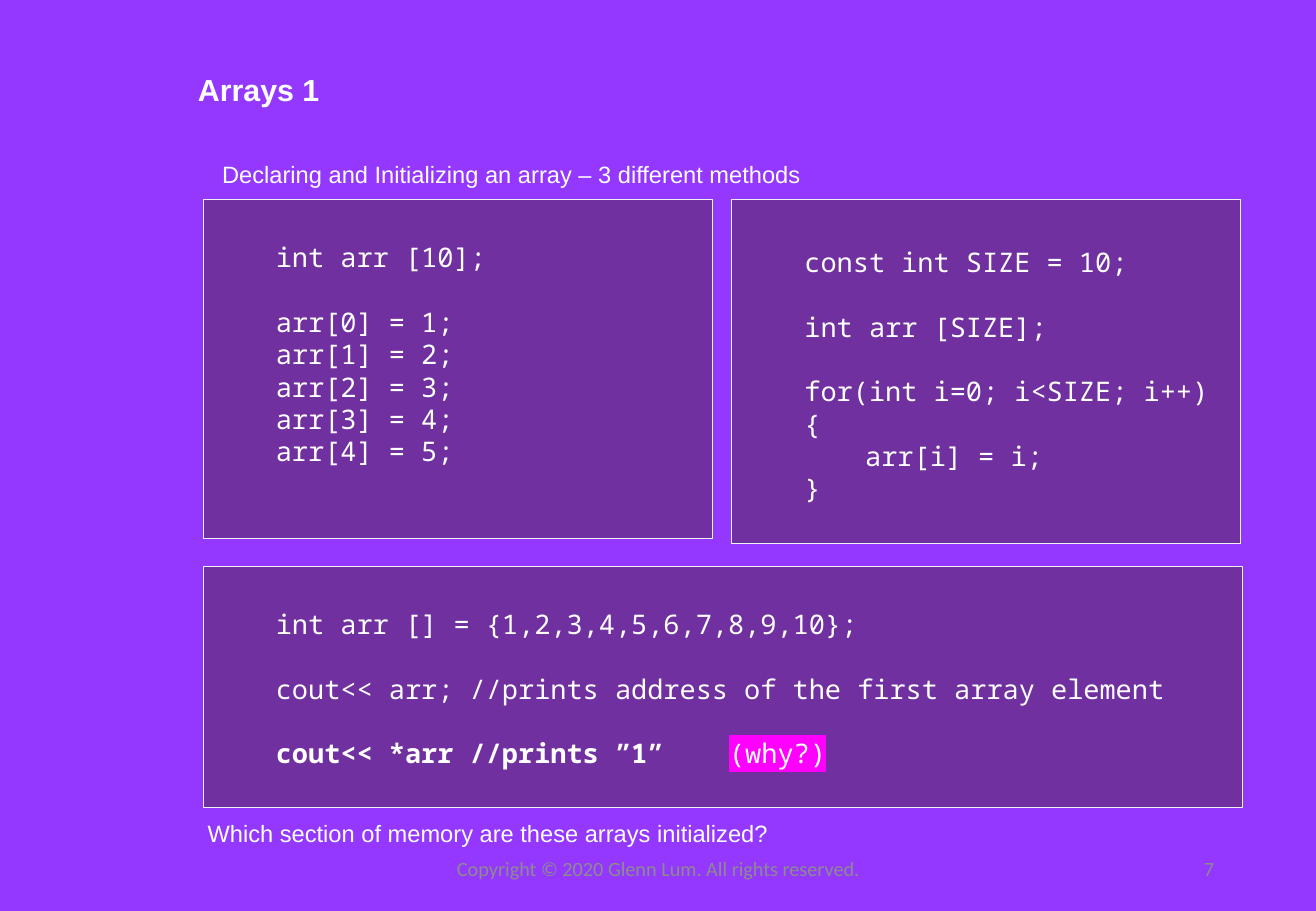
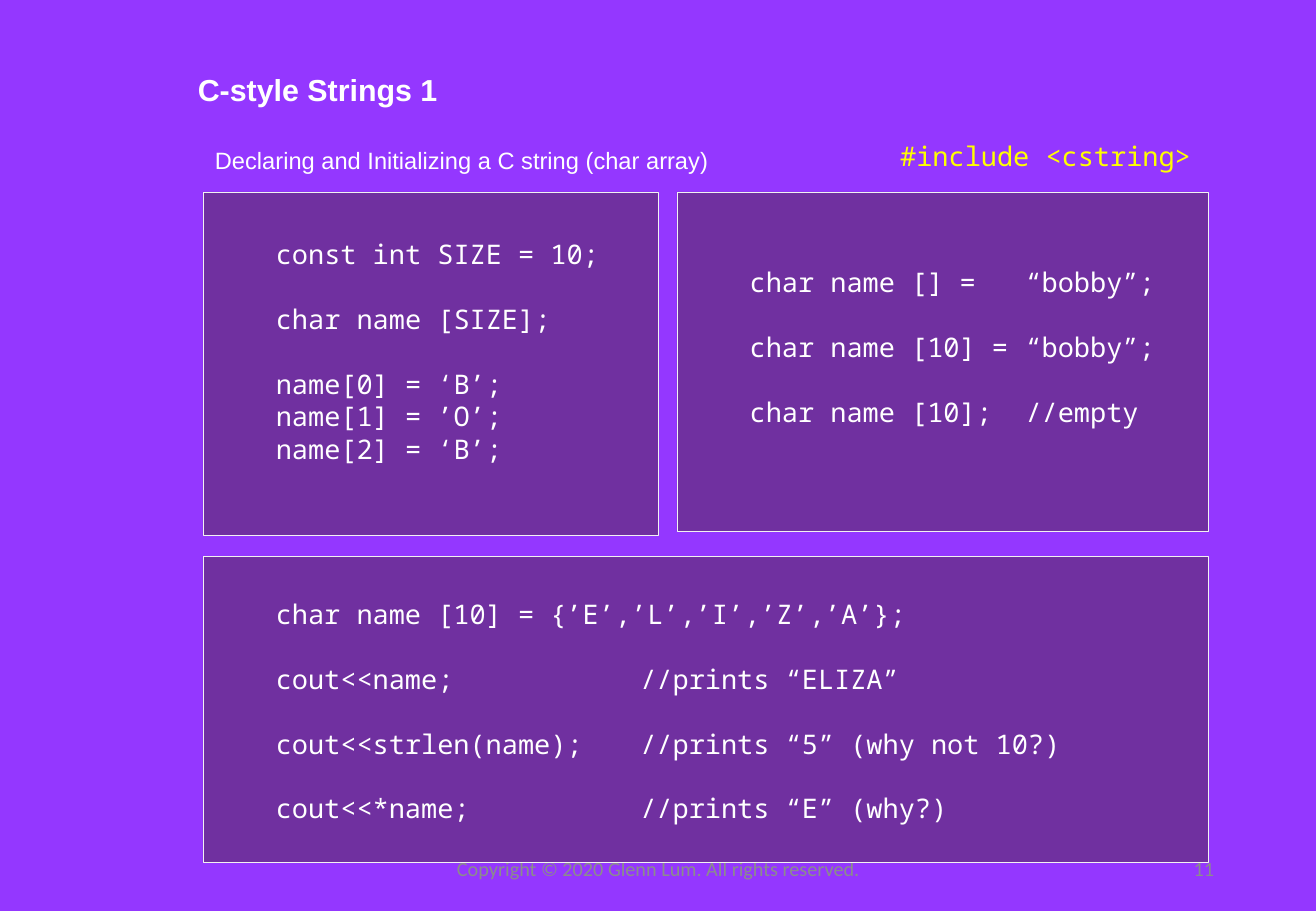
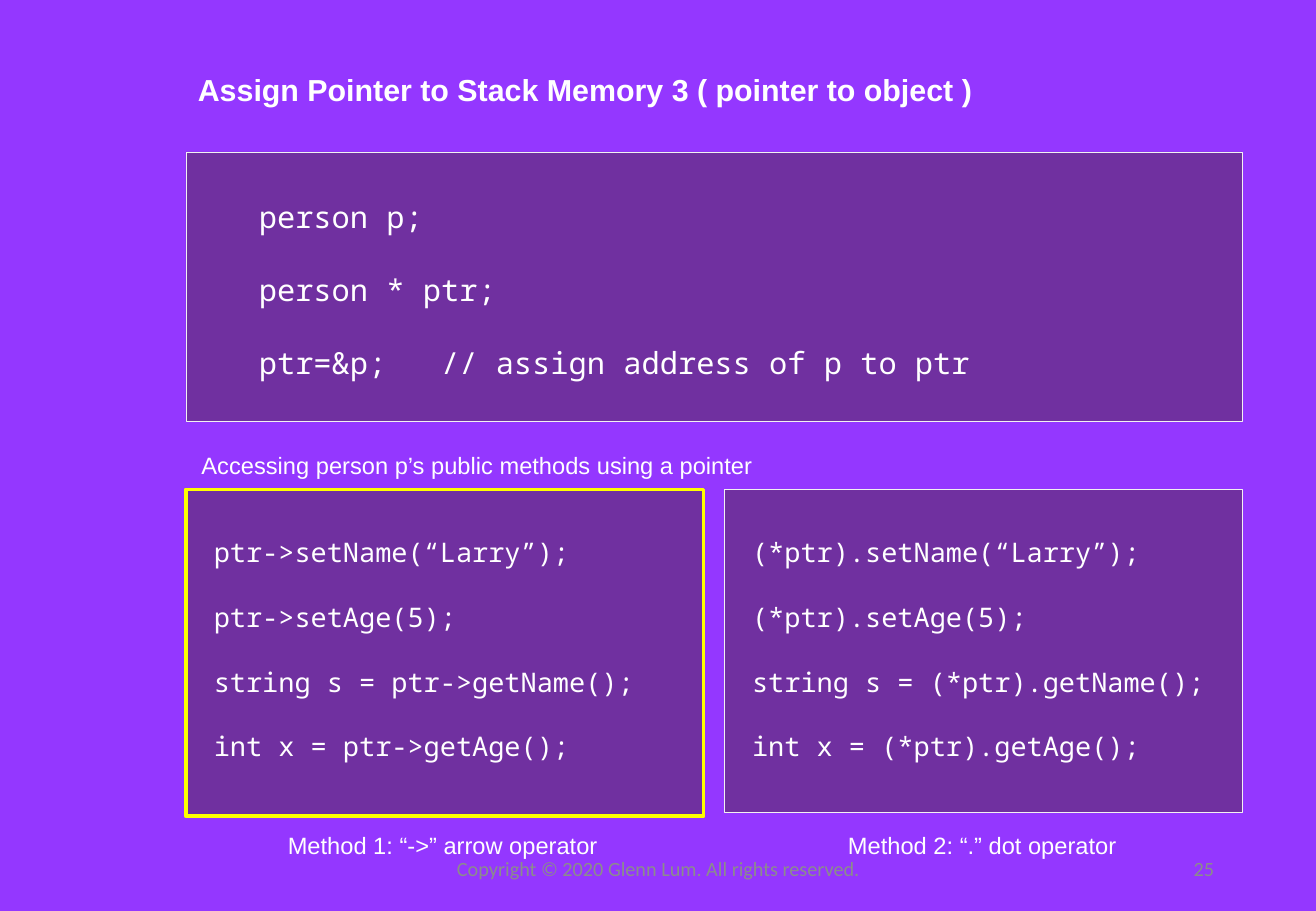
import pptx
import pptx.dml.color
import pptx.enum.shapes
import pptx.enum.text
import pptx.oxml
import pptx.oxml.ns
import pptx.util
from pptx.util import Inches

ALIGN = pptx.enum.text.PP_ALIGN
ANCHOR = pptx.enum.text.MSO_ANCHOR
LINE_HEIGHT = 1.2
NAMESPACE = pptx.oxml.ns.nsdecls("a")


def rgb(hex_string):
    return pptx.dml.color.RGBColor.from_string(hex_string)


class Deck:
    """The shared style, the presentation and the slide being filled."""

    BACKGROUND = "9437FF"
    PANEL = "7030A0"
    PANEL_LINE = "F2F2F2"
    TEXT = "FFFFFF"
    FOOTER = "8C8C8C"
    ACCENT = "FFFF00"
    HIGHLIGHT = "FF00FF"
    BODY_FONT = "Arial"
    CODE_FONT = "Noto Sans Mono"
    FOOTER_FONT = "Calibri"

    def __init__(self):
        self.presentation = pptx.Presentation()
        self.presentation.slide_width = Inches(10.83)
        self.presentation.slide_height = Inches(7.5)
        self.slide = None

    def new_slide(self, title, title_width, number):
        layout = self.presentation.slide_layouts[6]
        self.slide = self.presentation.slides.add_slide(layout)
        fill = self.slide.background.fill
        fill.solid()
        fill.fore_color.rgb = rgb(self.BACKGROUND)
        self.label(title, 1.53, 0.54, title_width, 0.4, size=18, bold=True)
        self.footer("Copyright © 2020 Glenn Lum. All rights reserved.", 3.59, 3.66, ALIGN.CENTER)
        self.footer(str(number), 7.65, 2.44, ALIGN.RIGHT)

    def run(self, paragraph, text, size, font, color, bold=False, highlight=None):
        run = paragraph.add_run()
        run.text = text
        run.font.size = pptx.util.Pt(size)
        run.font.bold = bold
        run.font.color.rgb = rgb(color)
        run.font.name = font
        if highlight:
            mark = pptx.oxml.parse_xml(
                f'<a:highlight {NAMESPACE}><a:srgbClr val="{highlight}"/></a:highlight>')
            fill = run.font._element.find(pptx.oxml.ns.qn("a:solidFill"))
            fill.addnext(mark)

    def label(self, text, left, top, width, height=0.34, size=14, font=BODY_FONT,
              color=TEXT, bold=False):
        box = self.slide.shapes.add_textbox(
            Inches(left), Inches(top), Inches(width), Inches(height))
        box.text_frame.word_wrap = False
        self.run(box.text_frame.paragraphs[0], text, size, font, color, bold)

    def footer(self, text, left, width, alignment):
        box = self.slide.shapes.add_textbox(
            Inches(left), Inches(6.95), Inches(width), Inches(0.4))
        frame = box.text_frame
        frame.word_wrap = True
        frame.vertical_anchor = ANCHOR.MIDDLE
        frame.paragraphs[0].alignment = alignment
        self.run(frame.paragraphs[0], text, 12, self.FOOTER_FONT, self.FOOTER)

    def code_panel(self, left, top, width, height, groups, inset=(0.6, 0.34), size=16,
                   tab=0.5, line_color=PANEL_LINE, line_width=0.25):
        """Draw a box of code. One line of space parts the groups.

        A group is a string of lines, or a list of (text, run options) for one line.
        """
        panel = self.slide.shapes.add_shape(
            pptx.enum.shapes.MSO_SHAPE.RECTANGLE,
            Inches(left), Inches(top), Inches(width), Inches(height))
        panel.shadow.inherit = False
        panel.fill.solid()
        panel.fill.fore_color.rgb = rgb(self.PANEL)
        panel.line.color.rgb = rgb(line_color)
        panel.line.width = pptx.util.Pt(line_width)
        frame = panel.text_frame
        frame.word_wrap = True
        frame.vertical_anchor = ANCHOR.TOP
        frame.margin_left, frame.margin_top = Inches(inset[0]), Inches(inset[1])
        line_height = pptx.util.Pt(size * LINE_HEIGHT)
        paragraph = None
        for group in groups:
            lines = [[(line, {})] for line in group.split("\n")] if isinstance(group, str) else [group]
            for index, line in enumerate(lines):
                first = paragraph is None
                paragraph = frame.paragraphs[0] if first else frame.add_paragraph()
                paragraph.alignment = ALIGN.LEFT
                paragraph.line_spacing = line_height
                if index == 0 and not first:
                    paragraph.space_before = line_height
                self.tab_stop(paragraph, tab)
                for text, options in line:
                    self.run(paragraph, text, size, self.CODE_FONT, self.TEXT, **options)

    def tab_stop(self, paragraph, position):
        stops = pptx.oxml.parse_xml(
            f'<a:tabLst {NAMESPACE}><a:tab pos="{Inches(position)}" algn="l"/></a:tabLst>')
        paragraph._p.get_or_add_pPr().append(stops)


def arrays_slide(deck):
    deck.new_slide("Arrays 1", 1.21, 7)
    deck.label("Declaring and Initializing an array – 3 different methods", 1.73, 1.27, 5.04)
    deck.code_panel(1.67, 1.64, 4.19, 2.79, [
        "int arr [10];",
        "\n".join(f"arr[{i}] = {i + 1};" for i in range(5)),
    ])
    deck.code_panel(1.67, 4.66, 8.55, 1.99, [
        "int arr [] = {1,2,3,4,5,6,7,8,9,10};",
        "cout<< arr; //prints address of the first array element",
        [("cout<< *arr //prints ”1”\t", {"bold": True}),
         ("(why?)", {"highlight": deck.HIGHLIGHT})],
    ], tab=3.73)
    deck.code_panel(6.02, 1.64, 4.19, 2.83, [
        "const int SIZE = 10;",
        "int arr [SIZE];",
        "for(int i=0; i<SIZE; i++)\n{\n\tarr[i] = i;\n}",
    ], inset=(0.6, 0.38))
    deck.label("Which section of memory are these arrays initialized?", 1.61, 6.69, 4.84)


def strings_slide(deck):
    deck.new_slide("C-style Strings 1", 2.26, 11)
    deck.label("Declaring and Initializing a C string (char array)", 1.67, 1.15, 4.28)
    deck.code_panel(1.67, 1.58, 3.75, 2.83, [
        "const int SIZE = 10;",
        "char name [SIZE];",
        "name[0] = ‘B’;\nname[1] = ’O’;\nname[2] = ‘B’;",
    ], inset=(0.6, 0.38))
    deck.code_panel(1.67, 4.58, 8.27, 2.52, [
        "char name [10] = {’E’,’L’,’I’,’Z’,’A’};",
        "cout<<name;\t//prints “ELIZA”",
        "cout<<strlen(name);\t//prints “5” (why not 10?)",
        "cout<<*name;\t//prints “E” (why?)",
    ], tab=3)
    deck.code_panel(5.57, 1.58, 4.37, 2.79, [
        "char name [] =\t“bobby”;",
        "char name [10] =\t“bobby”;",
        "char name [10];\t//empty",
    ], inset=(0.6, 0.61), tab=2.27)
    deck.label("#include <cstring>", 7.31, 1.1, 2.63, 0.37, size=16,
               font=deck.CODE_FONT, color=deck.ACCENT)


def pointer_slide(deck):
    deck.new_slide("Assign Pointer to Stack Memory 3 ( pointer to object )", 6.64, 25)
    deck.code_panel(1.53, 1.25, 8.69, 2.22, [
        "person p;",
        "person * ptr;",
        "ptr=&p;\t// assign address of p to ptr",
    ], inset=(0.6, 0.38), size=18, tab=1.5)
    deck.label("Accessing person p’s public methods using a pointer", 1.56, 3.66, 4.76)
    methods = [
        (1.53, 2.69, "ptr->", {"line_color": deck.ACCENT, "line_width": 2.25}),
        (5.96, 2.66, "(*ptr).", {}),
    ]
    for left, height, access, outline in methods:
        deck.code_panel(left, 4.03, 4.26, height, [
            f"{access}setName(“Larry”);",
            f"{access}setAge(5);",
            f"string s = {access}getName();",
            f"int x = {access}getAge();",
        ], inset=(0.23, 0.38), **outline)
    deck.label("Method 1: “->” arrow operator", 2.27, 6.79, 2.76)
    deck.label("Method 2: “.” dot operator", 6.88, 6.79, 2.42)


def main():
    deck = Deck()
    arrays_slide(deck)
    strings_slide(deck)
    pointer_slide(deck)
    deck.presentation.save("out.pptx")


if __name__ == "__main__":
    main()
